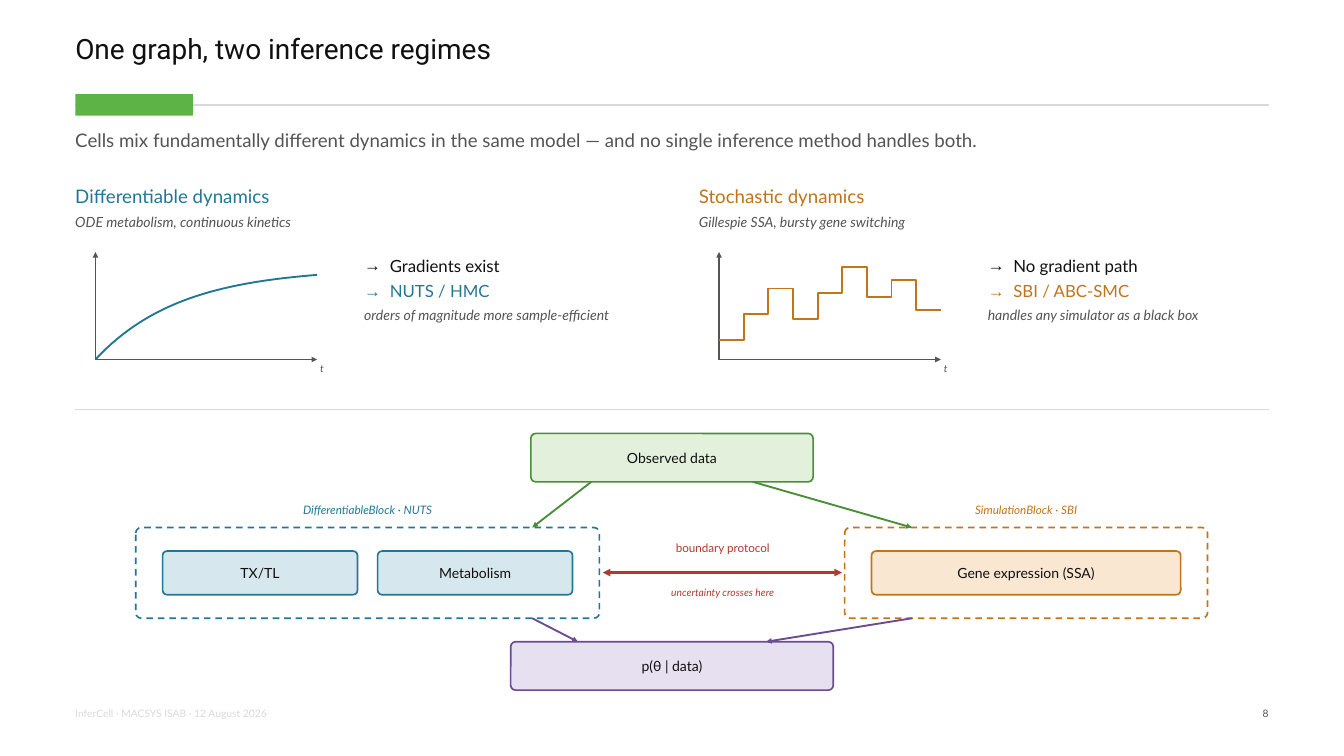
from dataclasses import dataclass
from math import exp

from lxml.etree import SubElement
from pptx import Presentation
from pptx.dml.color import RGBColor
from pptx.enum.dml import MSO_LINE
from pptx.enum.shapes import MSO_CONNECTOR, MSO_SHAPE
from pptx.enum.text import MSO_ANCHOR, MSO_AUTO_SIZE, PP_ALIGN
from pptx.oxml.ns import qn
from pptx.util import Pt

PX = 9144
RECT, ROUND = MSO_SHAPE.RECTANGLE, MSO_SHAPE.ROUNDED_RECTANGLE
STRAIGHT, DASH = MSO_CONNECTOR.STRAIGHT, MSO_LINE.DASH
TOP, MIDDLE, FIXED = MSO_ANCHOR.TOP, MSO_ANCHOR.MIDDLE, MSO_AUTO_SIZE.NONE
LEFT, CENTER, RIGHT = PP_ALIGN.LEFT, PP_ALIGN.CENTER, PP_ALIGN.RIGHT


@dataclass(frozen=True)
class Theme:
    """Hold the colours, fonts and type sizes."""
    ink: str = "101010"
    gray: str = "545454"
    pale: str = "D9D9D9"
    accent: str = "5EB346"
    blue: str = "237794"
    orange: str = "C1741A"
    green: str = "4A8F38"
    purple: str = "6A4C93"
    red: str = "B03A2E"
    sky: str = "D7E7EE"
    peach: str = "FAE7D2"
    mint: str = "E3F0DC"
    lilac: str = "E7E0F1"
    head: str = "Roboto"
    body: str = "Lato"
    title: float = 30
    lead: float = 20
    item: float = 18
    note: float = 15
    label: float = 12.5
    small: float = 11


T = Theme()


def px(*values):
    """Turn px lengths into EMU."""
    return [round(v * PX) for v in values]


def style(size, color, italic=False, name=T.body):
    """Return the format values of a run."""
    return {"size": Pt(size), "color": color, "italic": italic, "name": name}


def write(frame, lines, align=LEFT, anchor=TOP, inset=(0, 0), mark=None):
    """Fill a text frame with (text, format, marked) lines."""
    side, edge = px(*inset)
    values = {"word_wrap": True, "auto_size": FIXED, "vertical_anchor": anchor,
              "margin_left": side, "margin_right": side,
              "margin_top": edge, "margin_bottom": edge}
    for key, value in values.items():
        setattr(frame, key, value)
    for i, (text, form, marked) in enumerate(lines):
        para = frame.paragraphs[0] if i == 0 else frame.add_paragraph()
        if mark:
            props = para._p.get_or_add_pPr()
            hang = px(38)[0] if marked else 0
            props.set("marL", str(hang))
            props.set("indent", str(-hang))
            if marked:
                SubElement(props, qn("a:buChar")).set("char", mark)
            else:
                SubElement(props, qn("a:buNone"))
        para.alignment = align
        para.space_before = Pt(6 if i else 0)
        run = para.add_run()
        run.text = text
        for key, value in form.items():
            if key == "color":
                run.font.color.rgb = RGBColor.from_string(value)
            else:
                setattr(run.font, key, value)


def place(shape, box):
    """Move a placeholder to a box."""
    for key, value in zip(("left", "top", "width", "height"), px(*box)):
        setattr(shape, key, value)


def label(slide, box, text, form, align=LEFT):
    """Add one line of text."""
    frame = slide.shapes.add_textbox(*px(*box)).text_frame
    write(frame, [(text, form, False)], align)


def paint(shape, fill=None, line=None, width=1.75, dash=None):
    """Set the fill and outline of a shape."""
    shape.shadow.inherit = False
    for part, color in ((shape.fill, fill), (shape.line.fill, line)):
        if color:
            part.solid()
            part.fore_color.rgb = RGBColor.from_string(color)
        else:
            part.background()
    if line:
        shape.line.width = Pt(width)
    if dash:
        shape.line.dash_style = dash


def link(slide, start, end, color, width, ends=()):
    """Add a straight line with arrowheads at the named ends."""
    line = slide.shapes.add_connector(STRAIGHT, *px(*start, *end))
    line.line.color.rgb = RGBColor.from_string(color)
    line.line.width = Pt(width)
    props = line.element.spPr
    for name in ends:
        SubElement(props.find(qn("a:ln")), qn(name)).set("type", "triangle")
    SubElement(props, qn("a:effectLst"))
    return line


def node(slide, box, text, fill, line):
    """Add a rounded box with centred text."""
    shape = slide.shapes.add_shape(ROUND, *px(*box))
    shape.adjustments[0] = 0.1
    paint(shape, fill, line)
    write(shape.text_frame, [(text, style(T.note, T.ink), False)], CENTER, MIDDLE, (6, 3))


def header(slide, box):
    """Place the title, the rule and the lead line."""
    x, y, w = box
    title = slide.shapes.title
    place(title, (x, y, w, 95))
    write(title.text_frame, [("One graph, two inference regimes",
                              style(T.title, T.ink, name=T.head), False)])
    title.text_frame.paragraphs[0].line_spacing = 0.95
    rule = link(slide, (x, y + 105), (x + w, y + 105), T.pale, 1.5)
    bar = slide.shapes.add_shape(RECT, *px(x, y + 89, 175, 32))
    paint(bar, T.accent)
    rule.begin_connect(bar, 1)
    label(slide, (x, y + 141, w, 55),
          "Cells mix fundamentally different dynamics in the same model — "
          "and no single inference method handles both.", style(T.lead, T.gray))


def plot(slide, box, points, color):
    """Draw axes and a trace of unit points inside a box."""
    x, y, w, h = box
    base = y + h
    for end in ((x + w, base), (x, y)):
        link(slide, (x, base), end, T.gray, 1.25, ["a:tailEnd"])
    label(slide, (x + w - 90, base + 4, 100, 30), "t", style(T.small, T.gray, True), RIGHT)
    spots = [px(x + u * w, base - v * h) for u, v in points]
    path = slide.shapes.build_freeform(*spots[0], scale=1.0)
    path.add_line_segments(spots[1:], close=False)
    paint(path.convert_to_shape(), None, color, 2)


def panel(slide, spot, body, color, words, points):
    """Place one regime: headings, plot and list."""
    x, y = spot
    head, sub, fact, method, note = words
    label(slide, (x, y, 830, 42), head, style(T.lead, color))
    label(slide, (x, y + 43, 830, 50), sub, style(T.note, T.gray, True))
    plot(slide, (x + 30, y + 100, 330, 160), points, color)
    place(body, (x + 430, y + 105, 400, 170))
    write(body.text_frame, [(fact, style(T.item, T.ink), True),
                            (method, style(T.item, color), True),
                            (note, style(T.note, T.gray, True), False)], mark="→")


def block(slide, box, text, names, fill, color):
    """Place a dashed frame around equal nodes."""
    x, y, w, h = box
    frame = slide.shapes.add_shape(ROUND, *px(*box))
    frame.adjustments[0] = 0.06
    paint(frame, None, color, dash=DASH)
    label(slide, (x, y - 36, w, 34), text, style(T.label, color, True), CENTER)
    pad, gap = 40, 30
    wide = (w - 2 * pad + gap) / len(names) - gap
    for i, name in enumerate(names):
        node(slide, (x + pad + i * (wide + gap), y + 35, wide, h - 70), name, fill, color)


def graph(slide, spot):
    """Place the inference graph."""
    x, y = spot
    node(slide, (x + 588, y, 420, 72), "Observed data", T.mint, T.green)
    block(slide, (x, y + 140, 690, 135), "DifferentiableBlock · NUTS",
          ["TX/TL", "Metabolism"], T.sky, T.blue)
    block(slide, (x + 1055, y + 140, 540, 135), "SimulationBlock · SBI",
          ["Gene expression (SSA)"], T.peach, T.orange)
    node(slide, (x + 558, y + 310, 480, 72), "p(θ | data)", T.lilac, T.purple)
    for a, b, c, d, color in ((678, 72, 590, 140, T.green), (918, 72, 1155, 140, T.green),
                              (590, 275, 658, 310, T.purple), (1155, 275, 938, 310, T.purple)):
        link(slide, (x + a, y + b), (x + c, y + d), color, 2, ["a:tailEnd"])
    link(slide, (x + 695, y + 207), (x + 1051, y + 207), T.red, 2.75, ["a:headEnd", "a:tailEnd"])
    label(slide, (x + 691, y + 160, 365, 40), "boundary protocol", style(T.label, T.red), CENTER)
    label(slide, (x + 691, y + 227, 365, 40), "uncertainty crosses here",
          style(T.small, T.red, True), CENTER)


def footer(slide, box):
    """Place the footer line and the page number."""
    x, y, w = box
    label(slide, (x, y, 1243, 32), "InferCell · MACSYS ISAB · 12 August 2026",
          style(T.small, T.pale))
    label(slide, (x + w - 120, y, 120, 32), "8", style(T.small, T.gray), RIGHT)


def main():
    """Build and save the slide."""
    deck = Presentation()
    deck.slide_width, deck.slide_height = px(2000, 1125)
    slide = deck.slides.add_slide(deck.slide_layouts[3])
    left, right = slide.placeholders[1], slide.placeholders[2]
    header(slide, (112, 51, 1776))
    curve = [(i / 40, 0.85 * (1 - exp(-2.6 * i / 40))) for i in range(41)]
    levels = [0.18, 0.42, 0.66, 0.38, 0.62, 0.86, 0.58, 0.74, 0.46]
    steps = [((i + j) / len(levels), v) for i, v in enumerate(levels) for j in (0, 1)]
    panel(slide, (112, 275), left, T.blue,
          ("Differentiable dynamics", "ODE metabolism, continuous kinetics", "Gradients exist",
           "NUTS / HMC", "orders of magnitude more sample-efficient"), curve)
    panel(slide, (1040, 275), right, T.orange,
          ("Stochastic dynamics", "Gillespie SSA, bursty gene switching", "No gradient path",
           "SBI / ABC-SMC", "handles any simulator as a black box"), steps)
    link(slide, (112, 610), (1888, 610), T.pale, 1)
    graph(slide, (202, 645))
    footer(slide, (112, 1052, 1776))
    deck.save("out.pptx")


if __name__ == "__main__":
    main()
